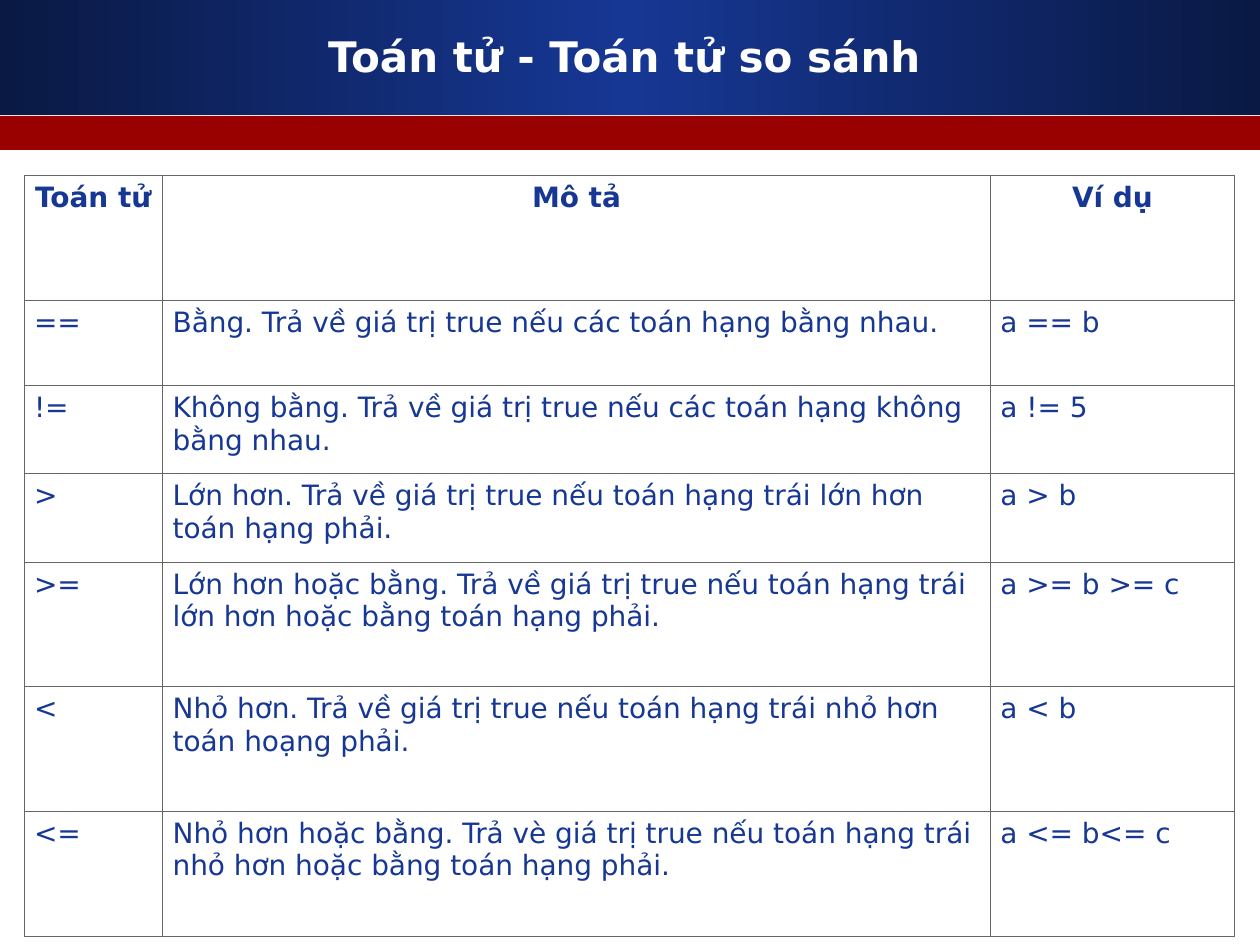
from copy import deepcopy
from dataclasses import dataclass

from lxml import etree
from pptx import Presentation
from pptx import util as u
from pptx.dml.color import RGBColor
from pptx.enum import shapes, text
from pptx.oxml.ns import qn

WIDTH, HEIGHT = u.Inches(10), u.Inches(7.5)
TITLE_ONLY = 5


@dataclass(frozen=True)
class Theme:
    font: str = "DejaVu Sans"
    navy: str = "0A1944"
    blue: str = "163794"
    red: str = "990000"
    white: str = "FFFFFF"
    rule: str = "666666"
    title_size: int = 24
    table_size: int = 16
    rule_width: float = 0.34


@dataclass(frozen=True)
class Operator:
    symbol: str
    meaning: str
    example: str
    height: float

    @property
    def texts(self) -> tuple[str, str, str]:
        return self.symbol, self.meaning, self.example


THEME = Theme()
TALL, MEDIUM, SHORT = 0.99, 0.7, 0.68
COLUMN_WIDTHS = (1.1, 6.57, 1.94)
ROWS = (
    Operator("Toán tử", "Mô tả", "Ví dụ", TALL),
    Operator("==", "Bằng. Trả về giá trị true nếu các toán hạng bằng nhau.",
             "a == b", SHORT),
    Operator("!=", "Không bằng. Trả về giá trị true nếu các toán hạng không bằng nhau.",
             "a != 5", MEDIUM),
    Operator(">", "Lớn hơn. Trả về giá trị true nếu toán hạng trái lớn hơn toán hạng phải.",
             "a > b", MEDIUM),
    Operator(">=", "Lớn hơn hoặc bằng. Trả về giá trị true nếu toán hạng trái "
             "lớn hơn hoặc bằng toán hạng phải.", "a >= b >= c", TALL),
    Operator("<", "Nhỏ hơn. Trả về giá trị true nếu toán hạng trái nhỏ hơn toán hoạng phải.",
             "a < b", TALL),
    Operator("<=", "Nhỏ hơn hoặc bằng. Trả vè giá trị true nếu toán hạng trái "
             "nhỏ hơn hoặc bằng toán hạng phải.", "a <= b<= c", TALL),
)


def color(value: str) -> RGBColor:
    return RGBColor.from_string(value)


def style_text(para, size: int, value: str, bold: bool, align) -> None:
    para.alignment = align
    for span in para.runs:
        span.font.name = THEME.font
        span.font.size = u.Pt(size)
        span.font.bold = bold
        span.font.color.rgb = color(value)


def add_band(slide, top: float, height: float):
    """Add a full-width bar without outline or shadow."""
    band = slide.shapes.add_shape(shapes.MSO_SHAPE.RECTANGLE, 0, u.Inches(top),
                                  WIDTH, u.Inches(height))
    band.shadow.inherit = False
    band.line.fill.background()
    return band


def fill_mirrored_gradient(shape, edge: str, middle: str) -> None:
    """Fade from edge to middle and back, left to right."""
    fill = shape.fill
    fill.gradient()
    fill.gradient_angle = 0
    stops = shape._element.spPr.find(qn("a:gradFill")).find(qn("a:gsLst"))
    stops.insert(1, deepcopy(stops[0]))
    for stop, position, value in zip(fill.gradient_stops, (0, 0.5, 1), (edge, middle, edge)):
        stop.position = position
        stop.color.rgb = color(value)


def add_header(slide) -> None:
    fill_mirrored_gradient(add_band(slide, 0, 0.91), THEME.navy, THEME.blue)
    stripe = add_band(slide, 0.92, 0.27)
    stripe.fill.solid()
    stripe.fill.fore_color.rgb = color(THEME.red)

    title = slide.shapes.title
    title.left, title.top, title.width, title.height = map(u.Inches, (0.33, 0.17, 9.25, 0.62))
    frame = title.text_frame
    frame.text = "Toán tử - Toán tử so sánh"
    frame.auto_size = text.MSO_AUTO_SIZE.NONE
    frame.vertical_anchor = text.MSO_ANCHOR.MIDDLE
    para = frame.paragraphs[0]
    para.line_spacing = 0.8
    style_text(para, THEME.title_size, THEME.white, True, text.PP_ALIGN.CENTER)
    slide.shapes._spTree.append(title._element)  # in front of the bands


def add_borders(cell) -> None:
    properties = cell._tc.get_or_add_tcPr()
    for index, side in enumerate(("lnL", "lnR", "lnT", "lnB")):
        line = etree.Element(qn(f"a:{side}"), w=str(u.Pt(THEME.rule_width)))
        fill = etree.SubElement(line, qn("a:solidFill"))
        etree.SubElement(fill, qn("a:srgbClr"), val=THEME.rule)
        properties.insert(index, line)


def style_cell(cell, content: str, is_header: bool) -> None:
    cell.text = content
    cell.margin_left = cell.margin_right = u.Inches(0.08)
    cell.margin_top = cell.margin_bottom = u.Inches(0.05)
    cell.fill.solid()
    cell.fill.fore_color.rgb = color(THEME.white)
    align = text.PP_ALIGN.CENTER if is_header else text.PP_ALIGN.LEFT
    style_text(cell.text_frame.paragraphs[0], THEME.table_size, THEME.blue, is_header, align)
    add_borders(cell)


def add_operator_table(slide) -> None:
    frame = slide.shapes.add_table(
        len(ROWS), len(COLUMN_WIDTHS), u.Inches(0.19), u.Inches(1.39),
        u.Inches(sum(COLUMN_WIDTHS)), u.Inches(sum(row.height for row in ROWS)))
    table = frame.table
    for column, width in zip(table.columns, COLUMN_WIDTHS):
        column.width = u.Inches(width)
    for index, (row, operator) in enumerate(zip(table.rows, ROWS)):
        row.height = u.Inches(operator.height)
        for cell, content in zip(row.cells, operator.texts):
            style_cell(cell, content, is_header=index == 0)


def main() -> None:
    deck = Presentation()
    deck.slide_width, deck.slide_height = WIDTH, HEIGHT
    slide = deck.slides.add_slide(deck.slide_layouts[TITLE_ONLY])
    add_header(slide)
    add_operator_table(slide)
    deck.save("out.pptx")


if __name__ == "__main__":
    main()
